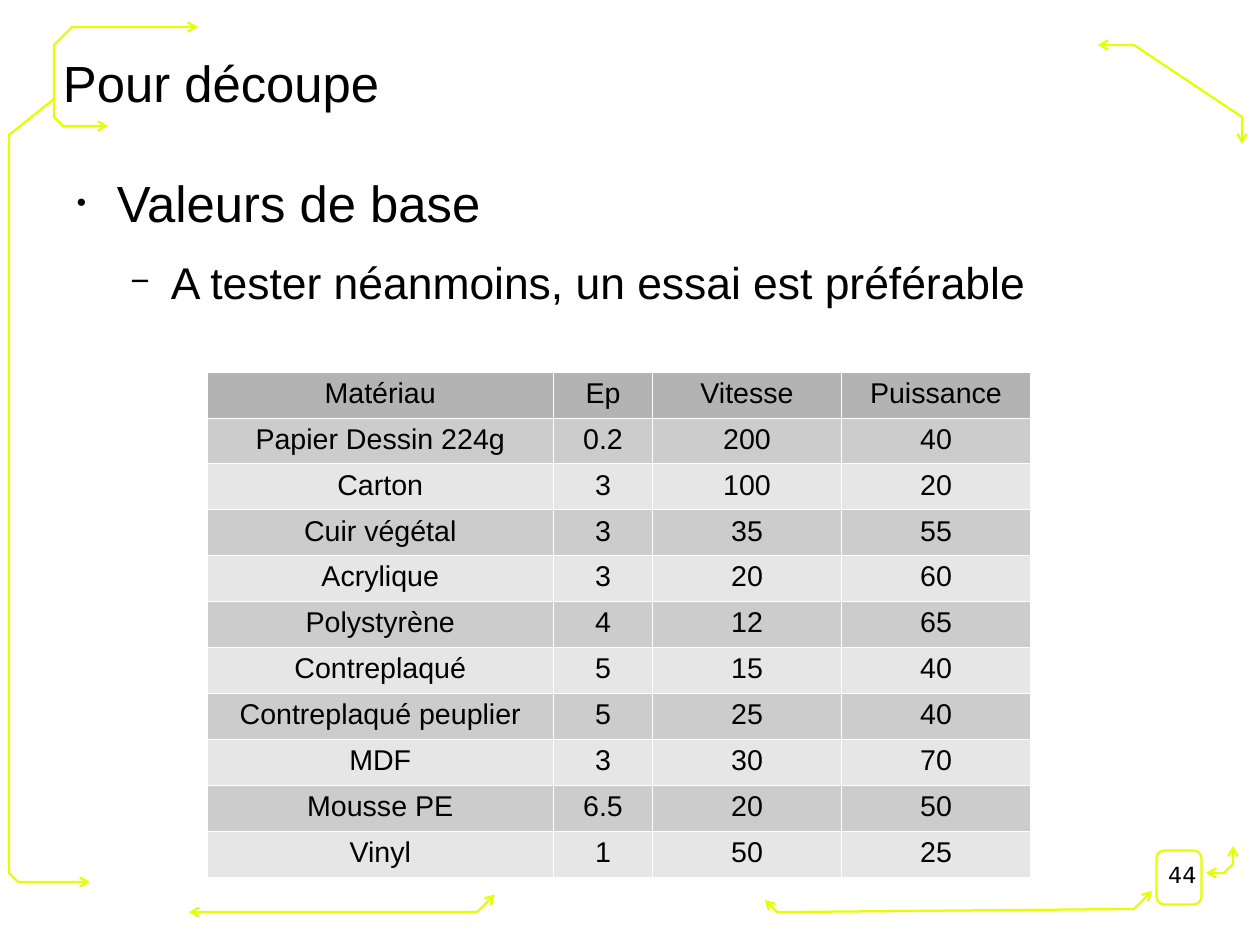
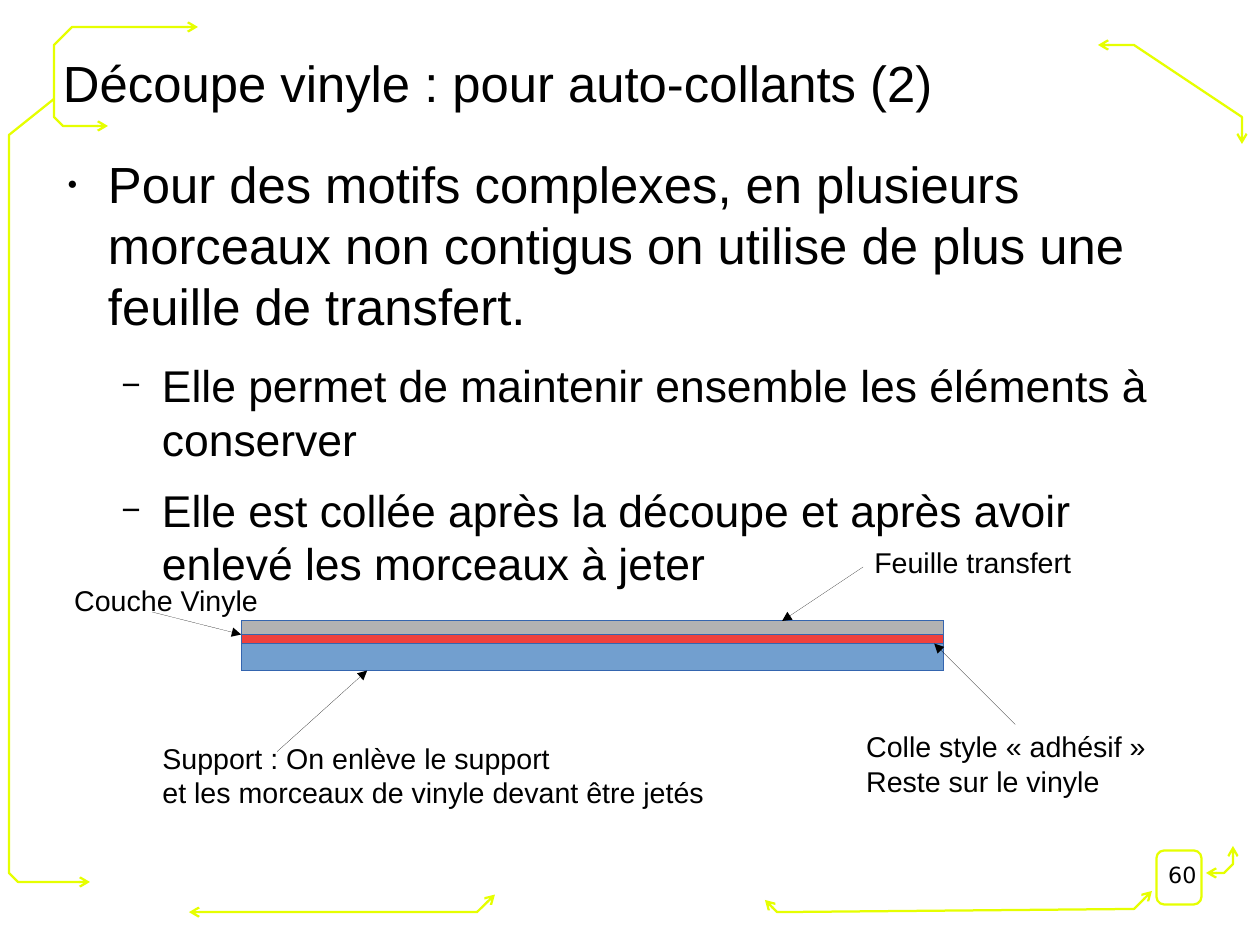
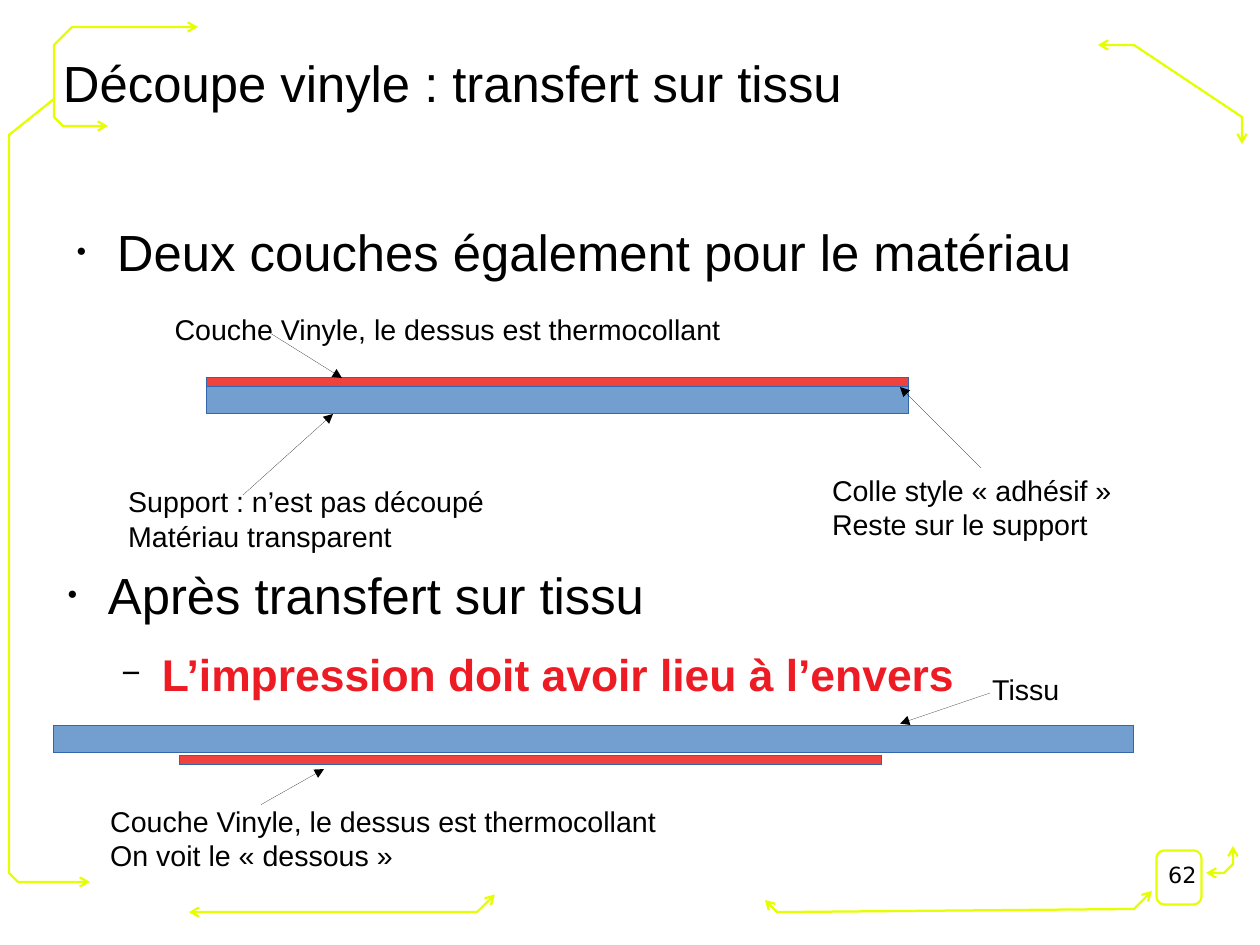
from lxml.etree import SubElement
from pptx import Presentation
from pptx.dml.color import RGBColor
from pptx.enum.shapes import MSO_CONNECTOR, MSO_SHAPE
from pptx.enum.text import MSO_ANCHOR, PP_ALIGN
from pptx.oxml.ns import qn
from pptx.util import Cm, Pt

COLORS = {
    "text": "000000", "alert": "ED1C24", "circuit": "E6FF00",
    "support": "729FCF", "vinyl": "EF413D", "transfer": "B2B2B2",
    "outline": "3465AF", "head": "B3B3B3", "odd": "CCCCCC",
    "even": "E6E6E6", "border": "FFFFFF",
}
# Level: left margin (cm), space after (pt), bullet, bullet size (%), text size (pt)
LEVELS = [(1.2, 14.1, "●", 33, 32), (2.4, 11.3, "−", 75, 28)]
HANGING = 0.9
SHEET_WIDTH = 15.6

# Circuit lines of the frame: points in cm, then arrow at start and at end
CIRCUITS = [
    ([(4.2, 20.27), (10.6, 20.27), (11, 19.88)], True, True),
    ([(2, 19.6), (0.4, 19.6), (0.2, 19.4), (0.2, 3), (1.2, 2.2)], True, False),
    ([(4.4, 0.6), (1.6, 0.6), (1.2, 1), (1.2, 2.6), (1.4, 2.8), (2.4, 2.8)], True, True),
    ([(24.4, 1), (25.2, 1), (27.6, 2.6), (27.6, 3.2)], True, True),
    ([(17, 20), (17.27, 20.27), (25.2, 20.2), (25.6, 19.8)], True, True),
    ([(26.8, 19.4), (27.2, 19.4), (27.4, 19.2), (27.4, 18.8)], True, True),
]

MATERIALS = [
    ("Matériau", "Ep", "Vitesse", "Puissance"),
    ("Papier Dessin 224g", "0.2", "200", "40"),
    ("Carton", "3", "100", "20"),
    ("Cuir végétal", "3", "35", "55"),
    ("Acrylique", "3", "20", "60"),
    ("Polystyrène", "4", "12", "65"),
    ("Contreplaqué", "5", "15", "40"),
    ("Contreplaqué peuplier", "5", "25", "40"),
    ("MDF", "3", "30", "70"),
    ("Mousse PE", "6.5", "20", "50"),
    ("Vinyl", "1", "50", "25"),
]


def color(name):
    return RGBColor.from_string(COLORS[name])


def write_text(para, text, size=18, font="Arial", fill="text", bold=False, align=None):
    """Add one formatted span to a paragraph."""
    para.alignment = align
    span = para.add_run()
    span.text = text
    span.font.size = Pt(size)
    span.font.name = font
    span.font.bold = bold
    span.font.color.rgb = color(fill)


def add_arrowheads(shape, kind, start, end):
    outline = shape.element.spPr.find(qn("a:ln"))
    for wanted, tag in ((start, "a:headEnd"), (end, "a:tailEnd")):
        if wanted:
            SubElement(outline, qn(tag), type=kind)


def set_hairline(shape, name):
    """Give the thinnest line; a zero width must be written out."""
    shape.line.color.rgb = color(name)
    shape.element.spPr.find(qn("a:ln")).set("w", "0")


class SlideWriter:
    """Holds the deck, its shared frame and the current slide."""

    def __init__(self):
        self.deck = Presentation()
        self.deck.slide_width, self.deck.slide_height = Cm(28), Cm(21)
        self.layout = self.deck.slide_layouts[6]
        self.shapes = None
        self.has_frame = False

    def new_slide(self, title, number):
        self.shapes = self.deck.slides.add_slide(self.layout).shapes
        if not self.has_frame:
            self.frame()
        box = self.text_box(1.4, 0.84, 23, 1.96)
        box.vertical_anchor = MSO_ANCHOR.MIDDLE
        write_text(box.paragraphs[0], title, size=32)
        page = self.text_box(20.06, 19.13, 6.53, 1.45)
        write_text(page.paragraphs[0], number, size=14, font="DejaVu Sans",
                   align=PP_ALIGN.RIGHT)

    def frame(self):
        """Draw the frame and move it to the layout shared by all slides."""
        for placeholder in list(self.layout.placeholders):
            placeholder.element.getparent().remove(placeholder.element)
        parts = [self.circuit(*circuit) for circuit in CIRCUITS]
        badge = self.shapes.add_shape(MSO_SHAPE.ROUNDED_RECTANGLE,
                                      Cm(25.7), Cm(18.9), Cm(1), Cm(1.2))
        badge.adjustments[0] = 0.17
        parts.append(self.circuit_style(badge))
        for part in parts:
            self.layout.shapes.element.append(part.element)
        self.has_frame = True

    def circuit_style(self, shape):
        shape.shadow.inherit = False
        shape.fill.background()
        shape.line.color.rgb = color("circuit")
        shape.line.width = Pt(1.42)
        return shape

    def circuit(self, points, start, end):
        corners = [(Cm(x), Cm(y)) for x, y in points]
        builder = self.shapes.build_freeform(*corners[0])
        builder.add_line_segments(corners[1:], close=False)
        shape = self.circuit_style(builder.convert_to_shape())
        add_arrowheads(shape, "arrow", start, end)
        return shape

    def text_box(self, left, top, width, height, inset=(0, 0)):
        box = self.shapes.add_textbox(Cm(left), Cm(top), Cm(width), Cm(height)).text_frame
        box.word_wrap = True
        box.margin_left = box.margin_right = Cm(inset[0])
        box.margin_top = box.margin_bottom = Cm(inset[1])
        return box

    def bullets(self, left, top, height, items):
        """Each item is a level, a text and, if needed, its format."""
        box = self.text_box(left, top, 25.2, height)
        for index, (level, text, *style) in enumerate(items):
            para = box.add_paragraph() if index else box.paragraphs[0]
            margin, after, sign, percent, size = LEVELS[level]
            para.level = level
            para.space_after = Pt(after)
            properties = para._p.get_or_add_pPr()
            properties.set("marL", str(Cm(margin)))
            properties.set("indent", str(-Cm(HANGING)))
            bullet_color = SubElement(properties, qn("a:buClr"))
            SubElement(bullet_color, qn("a:srgbClr"), val=COLORS["text"])
            SubElement(properties, qn("a:buSzPct"), val=str(percent * 1000))
            SubElement(properties, qn("a:buFont"), typeface="Arial")
            SubElement(properties, qn("a:buChar"), char=sign)
            write_text(para, text, size=size, **(style[0] if style else {}))

    def label(self, left, top, width, *lines):
        box = self.text_box(left, top, width, 0.25 + 0.71 * len(lines), inset=(0.25, 0.13))
        for index, text in enumerate(lines):
            para = box.add_paragraph() if index else box.paragraphs[0]
            write_text(para, text)

    def bar(self, left, top, width, height, fill):
        shape = self.shapes.add_shape(MSO_SHAPE.RECTANGLE,
                                      Cm(left), Cm(top), Cm(width), Cm(height))
        shape.shadow.inherit = False
        shape.fill.solid()
        shape.fill.fore_color.rgb = color(fill)
        set_hairline(shape, "outline")

    def arrow(self, x1, y1, x2, y2):
        line = self.shapes.add_connector(MSO_CONNECTOR.STRAIGHT,
                                         Cm(x1), Cm(y1), Cm(x2), Cm(y2))
        set_hairline(line, "text")
        add_arrowheads(line, "triangle", False, True)
        SubElement(line.element.spPr, qn("a:effectLst"))

    def vinyl_sheet(self, left, top, support_width, support_lines, glue_lines):
        """Vinyl on its support, with the labels of support and glue."""
        self.bar(left, top, SHEET_WIDTH, 0.6, "support")
        self.bar(left, top - 0.2, SHEET_WIDTH, 0.2, "vinyl")
        self.arrow(left + 0.8, top + 2.4, left + 2.8, top + 0.6)
        self.arrow(left + 17.2, top + 1.8, left + 15.4, top)
        self.label(left - 2, top + 2.03, support_width, *support_lines)
        self.label(left + 13.64, top + 1.78, 7.8, *glue_lines)

    def table(self, left, top, widths, row_height, rows):
        table = self.shapes.add_table(len(rows), len(widths), Cm(left), Cm(top),
                                      Cm(sum(widths)), Cm(row_height * len(rows))).table
        table.first_row = table.horz_banding = False
        for column, width in zip(table.columns, widths):
            column.width = Cm(width)
        for row_index, values in enumerate(rows):
            table.rows[row_index].height = Cm(row_height)
            fill = "head" if row_index == 0 else "odd" if row_index % 2 else "even"
            for column_index, value in enumerate(values):
                self.cell(table.cell(row_index, column_index), value, fill)

    def cell(self, cell, text, fill):
        properties = cell._tc.get_or_add_tcPr()
        for side in ("a:lnL", "a:lnR", "a:lnT", "a:lnB"):
            border = SubElement(properties, qn(side), w=str(Pt(0.06)))
            solid = SubElement(border, qn("a:solidFill"))
            SubElement(solid, qn("a:srgbClr"), val=COLORS["border"])
        cell.fill.solid()
        cell.fill.fore_color.rgb = color(fill)
        write_text(cell.text_frame.paragraphs[0], text, align=PP_ALIGN.CENTER)


def main():
    writer = SlideWriter()

    # Cutting settings
    writer.new_slide("Pour découpe", "44")
    writer.table(4.6, 8.26, (7.7, 2.2, 4.2, 4.2), 1.02, MATERIALS)
    writer.bullets(1.4, 3.81, 14.8, [
        (0, "Valeurs de base"),
        (1, "A tester néanmoins, un essai est préférable"),
    ])

    # Stickers with a transfer sheet
    writer.new_slide("Découpe vinyle : pour auto-collants (2)", "60")
    writer.bullets(1.2, 3.4, 8.6, [
        (0, "Pour des motifs complexes, en plusieurs morceaux non contigus "
            "on utilise de plus une feuille de transfert."),
        (1, "Elle permet de maintenir ensemble les éléments à conserver"),
        (1, "Elle est collée après la découpe et après avoir enlevé "
            "les morceaux à jeter"),
    ])
    writer.vinyl_sheet(
        5.36, 14.3, 13.6,
        ("Support : On enlève le support", "et les morceaux de vinyle devant être jetés"),
        ("Colle style « adhésif »", "Reste sur le vinyle"))
    writer.arrow(3.38, 13.6, 5.36, 14.1)
    writer.label(1.4, 12.83, 5.6, "Couche Vinyle")
    writer.bar(5.36, 13.8, SHEET_WIDTH, 0.3, "transfer")
    writer.arrow(19.18, 12.6, 17.38, 13.8)
    writer.label(19.18, 11.99, 5.8, "Feuille transfert")

    # Transfer onto fabric
    writer.new_slide("Découpe vinyle : transfert sur tissu", "62")
    writer.bullets(1.4, 4.9, 2.08, [(0, "Deux couches également pour le matériau")])
    writer.vinyl_sheet(
        4.6, 8.6, 9.6,
        ("Support : n’est pas découpé", "Matériau transparent"),
        ("Colle style « adhésif »", "Reste sur le support"))
    writer.arrow(6, 7.4, 7.6, 8.4)
    writer.label(3.63, 6.81, 13.8, "Couche Vinyle, le dessus est thermocollant")
    writer.bullets(1.2, 12.52, 2.9, [
        (0, "Après transfert sur tissu"),
        (1, "L’impression doit avoir lieu à l’envers", {"fill": "alert", "bold": True}),
    ])
    writer.bar(1.2, 16.13, 24, 0.6, "support")
    writer.bar(4, 16.79, SHEET_WIDTH, 0.2, "vinyl")
    writer.arrow(5.8, 17.88, 7.2, 17.09)
    writer.arrow(22, 15.4, 20, 16.08)
    writer.label(2.2, 17.73, 13.8,
                 "Couche Vinyle, le dessus est thermocollant", "On voit le « dessous »")
    writer.label(21.8, 14.81, 2.8, "Tissu")

    writer.deck.save("out.pptx")


if __name__ == "__main__":
    main()
